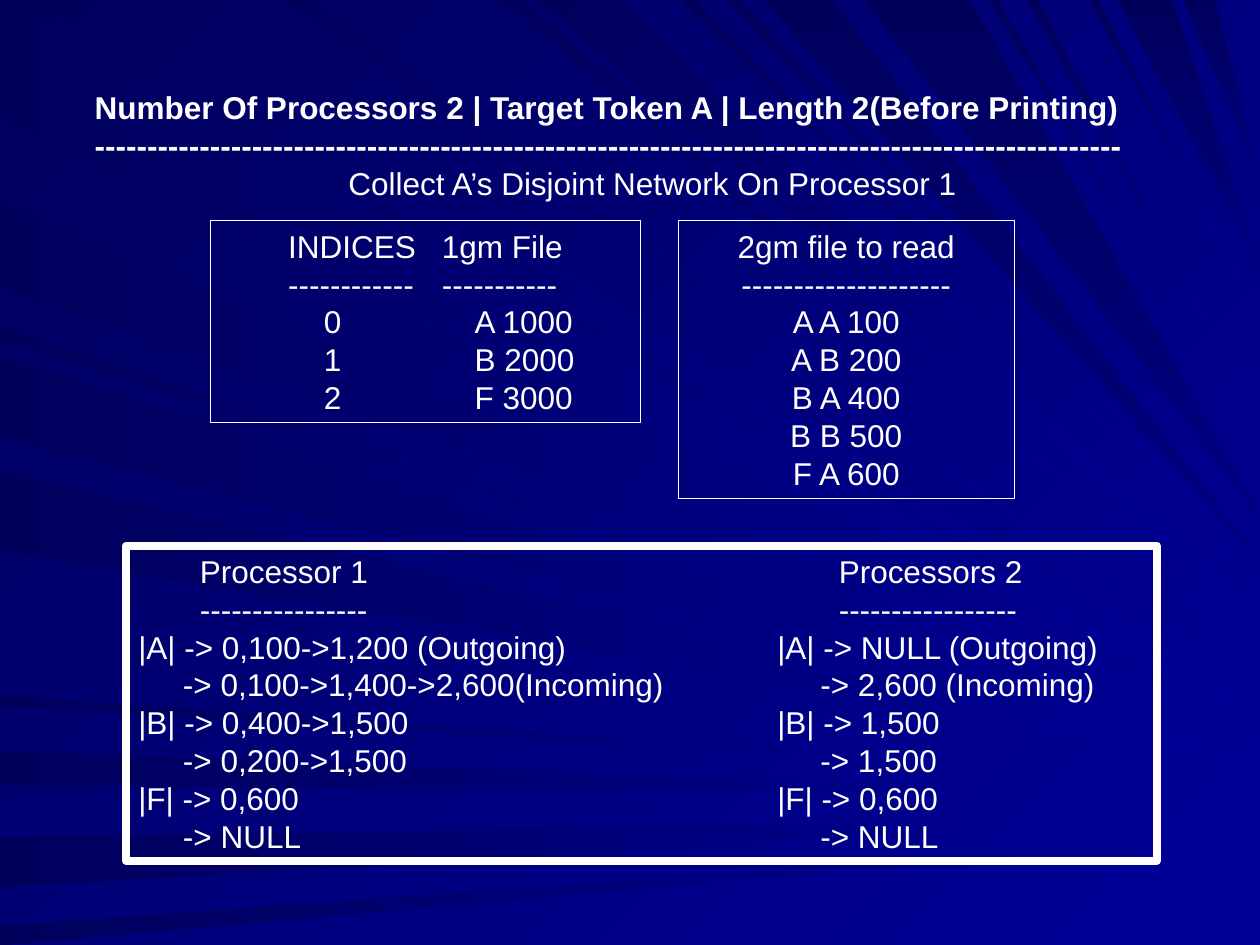
from lxml import etree
from pptx import Presentation, util as u
from pptx.dml.color import RGBColor
from pptx.enum import shapes, text
from pptx.oxml.ns import qn

WHITE = RGBColor(0xFF, 0xFF, 0xFF)
ROYAL = RGBColor(0, 0, 0x99)
NAVY = RGBColor(0, 0, 0x80)
DARK = RGBColor(0, 0, 0x5C)

# Background rays run from a span on one edge to a tip on the right edge,
# all in hundredths of a tenth of the slide width
UNIT, RIGHT = u.Cm(0.0254), 1000
LEFT_RAYS = [(0, 93, 570), (596, 623, 632), (665, 704, 647), (735, 750, 662),
             (258, 270, 589), (159, 228, 585), (283, 347, 603),
             (374, 437, 606), (552, 560, 622)]
TOP_RAYS = [(26, 101, 563), (398, 416, 518), (426, 492, 493), (540, 552, 463),
            (225, 247, 550), (577, 588, 454), (785, 792, 357),
            (815, 824, 336), (865, 872, 253)]
DIM_RAYS = [(606, 661, 446), (686, 770, 410), (887, 930, 210), (939, 964, 140)]

TITLE = "Number Of Processors 2 | Target Token A | Length 2(Before Printing)"
TASK = "Collect A’s Disjoint Network On Processor 1"
BIGRAMS = ["2gm file to read", "-" * 20,
           "A A 100", "A B 200", "B A 400", "B B 500", "F A 600"]

# Rows: tab stops in cm, then the cells
HEAD, ITEM = (1.32, 4.42), (2.04, 5.08)
TOKENS = [
    (HEAD, "INDICES", "1gm File"),
    (HEAD, "-" * 12, "-" * 11),
    (ITEM, "0", "A 1000"),
    (ITEM, "1", "B 2000"),
    (ITEM, "2", "F 3000"),
]
NAME, OUT, IN = (1.24, 14.12), (0, 12.88), (0.9, 13.75)
LINKS = [
    (NAME, "Processor 1", "Processors 2"),
    (NAME, "-" * 16, "-" * 17),
    (OUT, "|A| -> 0,100->1,200 (Outgoing)", "|A| -> NULL (Outgoing)"),
    (IN, "-> 0,100->1,400->2,600(Incoming)", "-> 2,600 (Incoming)"),
    (OUT, "|B| -> 0,400->1,500", "|B| -> 1,500"),
    (IN, "-> 0,200->1,500", "-> 1,500"),
    (OUT, "|F| -> 0,600", "|F| -> 0,600"),
    (IN, "-> NULL", "-> NULL"),
]


def shade(fill, first, last, angle):
    """Fill with a two-colour gradient; the angle runs clockwise."""
    fill.gradient()
    fill.gradient_angle = 360 - angle
    for stop, color in zip(fill.gradient_stops, (first, last)):
        stop.color.rgb = color


def draw_ray(slide, start, end, tip, look):
    path = slide.shapes.build_freeform(*start, scale=UNIT)
    path.add_line_segments([end, (RIGHT, tip)], close=True)
    ray = path.convert_to_shape()
    ray.shadow.inherit = False
    ray.line.fill.background()
    shade(ray.fill, *look)


def draw_rays(slide):
    for near, far, tip in LEFT_RAYS:
        draw_ray(slide, (0, near), (0, far), tip, (ROYAL, DARK, 180))
    for rays, look in ((TOP_RAYS, (ROYAL, DARK, 225)),
                       (DIM_RAYS, (DARK, NAVY, 90))):
        for near, far, tip in rays:
            draw_ray(slide, (near, 0), (far, 0), tip, look)


def add_box(slide, place, line=0, anchor=text.MSO_ANCHOR.TOP):
    """Add an unfilled box; line is the outline width in points."""
    box = slide.shapes.add_shape(shapes.MSO_SHAPE.RECTANGLE, *map(u.Cm, place))
    box.shadow.inherit = False
    box.fill.background()
    if line:
        box.line.color.rgb = WHITE
        box.line.width = u.Pt(line)
    else:
        box.line.fill.background()
    frame = box.text_frame
    frame.word_wrap = True
    frame.vertical_anchor = anchor
    return frame


def add_text(frame, words, bold=False, center=False, indent=0, stops=()):
    """Write one paragraph, using the empty first one if it is free."""
    para = frame.paragraphs[0]
    if para.runs:
        para = frame.add_paragraph()
    para.alignment = text.PP_ALIGN.CENTER if center else text.PP_ALIGN.LEFT
    run = para.add_run()
    run.text = words
    font = run.font
    font.name, font.size, font.bold = "Arial", u.Pt(18), bold
    font.color.rgb = WHITE
    props = para._p.get_or_add_pPr()
    if indent:
        props.set("marL", str(u.Cm(indent)))
    if stops:
        tabs = etree.SubElement(props, qn("a:tabLst"))
        for stop in stops:
            etree.SubElement(tabs, qn("a:tab"), pos=str(u.Cm(stop)), algn="l")


def add_rows(frame, rows):
    for stops, *cells in rows:
        lead = "\t" if stops[0] else ""
        add_text(frame, lead + "\t".join(cells), stops=[s for s in stops if s])


def main():
    deck = Presentation()
    deck.slide_width, deck.slide_height = u.Cm(25.4), u.Cm(19.05)
    slide = deck.slides.add_slide(deck.slide_layouts[6])
    shade(slide.background.fill, ROYAL, DARK, 225)
    draw_rays(slide)

    middle = text.MSO_ANCHOR.MIDDLE
    add_rows(add_box(slide, (2.54, 11, 20.78, 6.35), 4.5, middle), LINKS)

    top = add_box(slide, (1.47, 1.65, 21.79, 2.54), anchor=middle)
    for words in (TITLE, "-" * 98):
        add_text(top, words, bold=True, indent=0.19)
    add_text(top, TASK, center=True, indent=1.58)

    add_rows(add_box(slide, (4.24, 4.45, 8.66, 4.06), 0.25), TOKENS)
    pairs = add_box(slide, (13.67, 4.45, 6.78, 5.59), 0.25)
    for words in BIGRAMS:
        add_text(pairs, words, center=True)
    deck.save("out.pptx")


if __name__ == "__main__":
    main()
